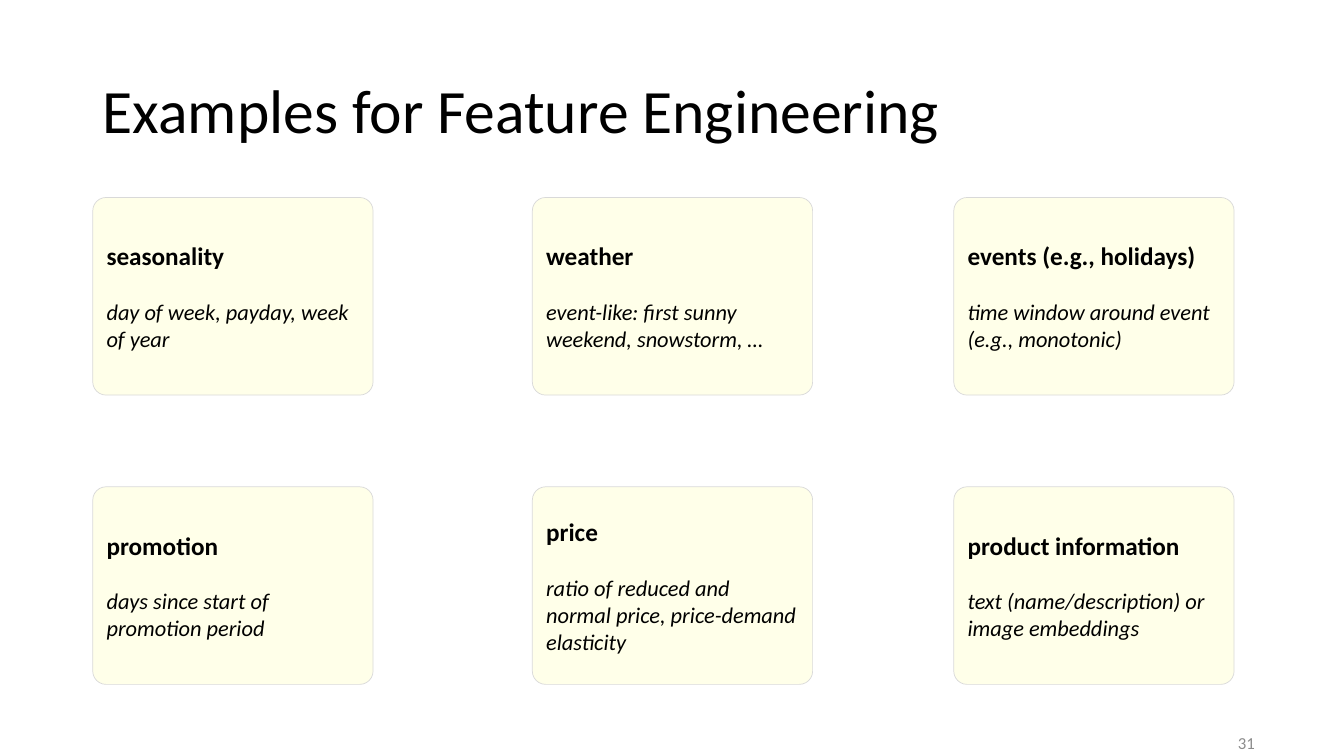
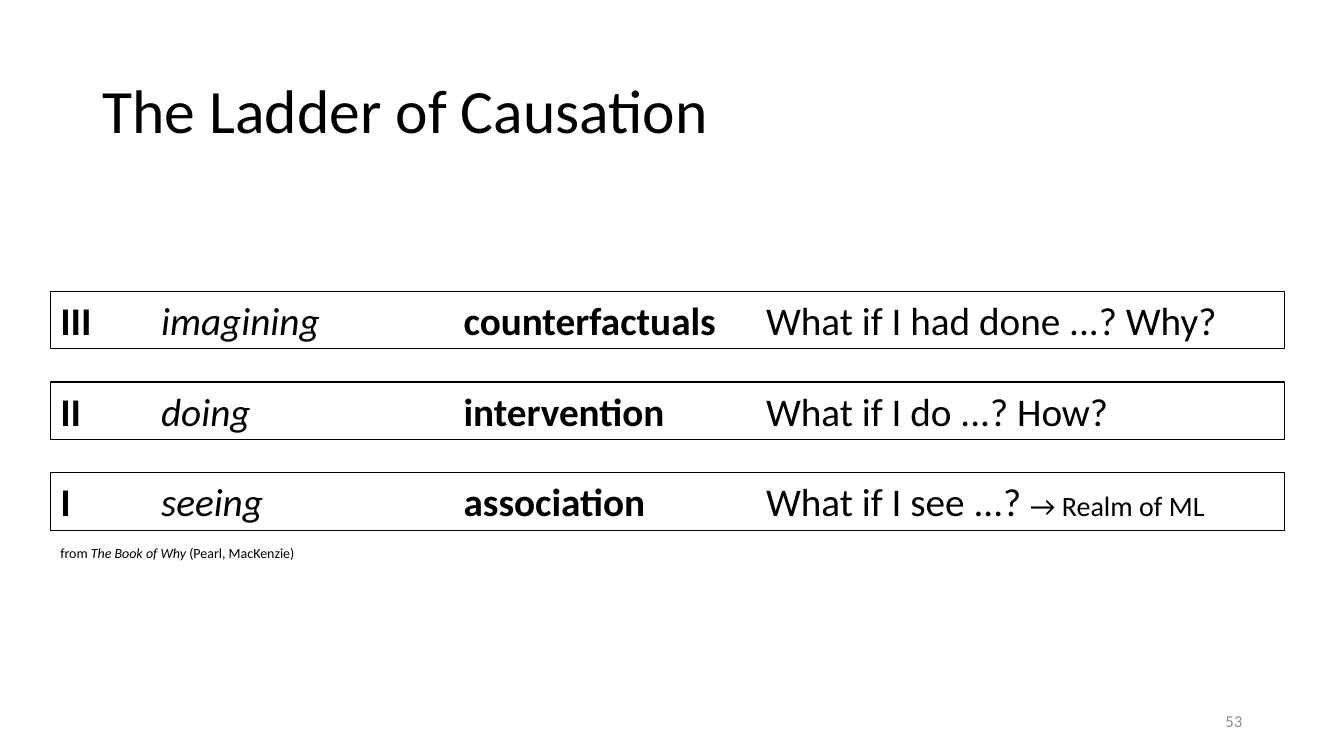
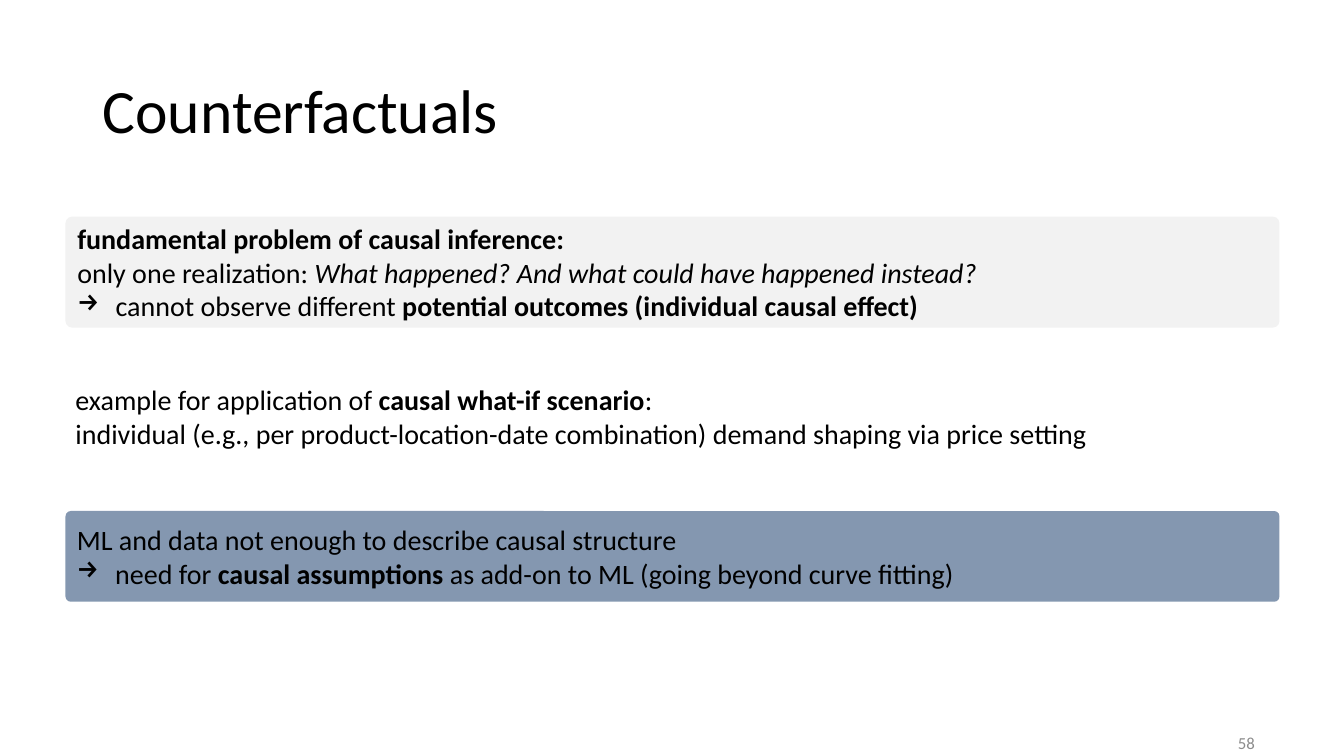
from lxml import etree
from pptx import Presentation
from pptx.dml.color import RGBColor
from pptx.enum import shapes, text
from pptx.oxml import ns
from pptx.util import Inches, Pt

FONT = "Calibri"
BLACK, GRAY = "000000", "8C8C8C"
CREAM, EDGE = "FFFFCC", "D9D9D9"
PALE, BLUE = "F2F2F2", "8497B0"
MIDDLE, TOP = text.MSO_ANCHOR.MIDDLE, text.MSO_ANCHOR.TOP
RECT, ROUND = shapes.MSO_SHAPE.RECTANGLE, shapes.MSO_SHAPE.ROUNDED_RECTANGLE


def color(code):
    return RGBColor.from_string(code)


def child(parent, tag, **attrs):
    return etree.SubElement(parent, ns.qn(tag), attrs)


def write(shape, paras, size, anchor=MIDDLE, ink=BLACK):
    """Fill a shape with paragraphs, each a list of (text, style, size) runs."""
    frame = shape.text_frame
    frame.word_wrap = True
    frame.vertical_anchor = anchor
    for i, runs in enumerate(paras):
        para = frame.paragraphs[0] if i == 0 else frame.add_paragraph()
        para.alignment = text.PP_ALIGN.LEFT
        for words, style, *own in runs:
            run = para.add_run()
            run.text = words
            font = run.font
            font.name = FONT
            font.size = Pt(own[0] if own else size)
            font.bold = style == "b"
            font.italic = style == "i"
            font.color.rgb = color(ink)
    return frame.paragraphs


def label(slide, box, paras, size, **look):
    shape = slide.shapes.add_textbox(*map(Inches, box))
    return write(shape, paras, size, **look)


def panel(slide, kind, box, fill=None, line=None, width=0.75, round_by=None):
    shape = slide.shapes.add_shape(kind, *map(Inches, box))
    shape.shadow.inherit = False
    if round_by:
        shape.adjustments[0] = round_by
    if fill:
        shape.fill.solid()
        shape.fill.fore_color.rgb = color(fill)
    else:
        shape.fill.background()
    if line:
        shape.line.color.rgb = color(line)
        shape.line.width = Pt(width)
    else:
        shape.line.fill.background()
    return shape


def start(deck, title, number, spot=(12.18, 7.23, 0.5, 0.27), right=False):
    """Add a slide with its title and page number."""
    slide = deck.slides.add_slide(deck.slide_layouts[6])
    head = label(slide, (0.92, 0.4, 11.5, 1.45), [[(title, "")]], 44)
    head[0].line_spacing = 0.9
    page = label(slide, spot, [[(number, "")]], 12, ink=GRAY)
    if right:
        page[0].alignment = text.PP_ALIGN.RIGHT
    return slide


def card(slide, box, name, detail):
    shape = panel(slide, ROUND, box, CREAM, EDGE, 0.5, 0.067)
    tint = shape.fill._xPr.find(".//" + ns.qn("a:srgbClr"))
    child(tint, "a:alpha", val="42000")
    paras = write(shape, [[(name, "b", 18)], [(detail, "i")]], 16)
    paras[1].space_before = Pt(19.5)


def rung(slide, box, level, act, kind, query, aside=""):
    """Draw one step of the ladder, its four parts set on tab stops."""
    shape = panel(slide, RECT, box, line=BLACK)
    runs = [(level + "\t", "b"), (act + "\t", "i"), (kind + "\t", "b"),
            (query, "")]
    if aside:
        runs.append((aside, "", 20))
    para = write(shape, [runs], 28, TOP)[0]
    tabs = child(para._p.get_or_add_pPr(), "a:tabLst")
    for stop in (1, 4, 7):
        child(tabs, "a:tab", pos=str(Inches(stop)), algn="l")


def note(slide, box, fill, paras):
    """Draw a filled box whose last paragraph has an arrow bullet."""
    shape = panel(slide, ROUND, box, fill, round_by=0.058)
    props = write(shape, paras, 20)[-1]._p.get_or_add_pPr()
    props.set("marL", str(Inches(0.38)))
    props.set("indent", str(-Inches(0.38)))
    child(props, "a:buChar", char="→")


def features(deck):
    slide = start(deck, "Examples for Feature Engineering", "31")
    rows = [
        [("seasonality", "day of week, payday, week of year"),
         ("weather", "event-like: first sunny weekend, snowstorm, …"),
         ("events (e.g., holidays)",
          "time window around event (e.g., monotonic)")],
        [("promotion", "days since start of promotion period"),
         ("price",
          "ratio of reduced and normal price, price-demand elasticity"),
         ("product information",
          "text (name/description) or image embeddings")],
    ]
    for top, row in zip((1.96, 4.83), rows):
        for left, words in zip((0.92, 5.28, 9.46), row):
            card(slide, (left, top, 2.78, 1.96), *words)


def ladder(deck):
    slide = start(deck, "The Ladder of Causation", "53",
                  (9.42, 6.95, 3, 0.4), right=True)
    rungs = [
        ("III", "imagining", "counterfactuals",
         "What if I had done ...? Why?"),
        ("II", "doing", "intervention", "What if I do ...? How?"),
        ("I", "seeing", "association", "What if I see ...? ",
         "→ Realm of ML"),
    ]
    for i, words in enumerate(rungs):
        rung(slide, (0.5, 2.89 + 0.9 * i, 12.24, 0.57), *words)
    label(slide, (0.5, 5.35, 2.56, 0.27),
          [[("from ", ""), ("The Book of Why", "i"),
            (" (Pearl, MacKenzie)", "")]], 10, anchor=TOP)


def outcomes(deck):
    slide = start(deck, "Counterfactuals", "58")
    left, width = 0.65, 12.04
    note(slide, (left, 2.15, width, 1.1), PALE, [
        [("fundamental problem of causal inference:", "b")],
        [("only one realization: ", ""),
         ("What happened? And what could have happened instead?", "i")],
        [("cannot observe different ", ""),
         ("potential outcomes (individual causal effect)", "b")],
    ])
    label(slide, (left, 3.75, width, 0.77), [
        [("example for application of ", ""),
         ("causal what-if scenario", "b"), (":", "")],
        [("individual (e.g., per product-location-date combination) "
          "demand shaping via price setting", "")],
    ], 20, anchor=TOP)
    note(slide, (left, 5.07, width, 0.9), BLUE, [
        [("ML and data not enough to describe causal structure", "")],
        [("need for ", ""), ("causal assumptions ", "b"),
         ("as add-on to ML (going beyond curve fitting)", "")],
    ])


def main():
    deck = Presentation()
    deck.slide_width, deck.slide_height = Inches(13.33), Inches(7.5)
    for build in (features, ladder, outcomes):
        build(deck)
    deck.save("out.pptx")


if __name__ == "__main__":
    main()
